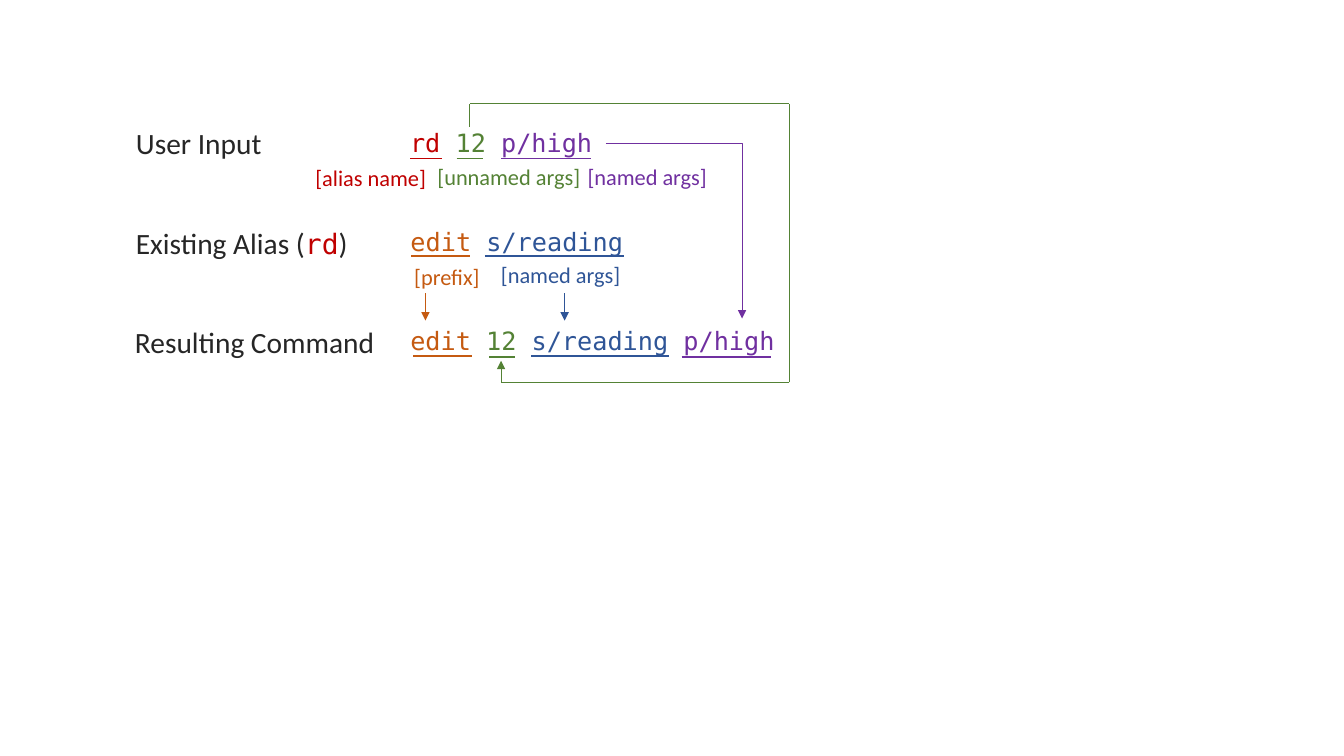
"""Builds a slide showing how a command alias expands into a full command."""
from lxml import etree
from pptx import Presentation
from pptx.dml.color import RGBColor
from pptx.enum.shapes import MSO_CONNECTOR
from pptx.enum.text import MSO_AUTO_SIZE, PP_ALIGN
from pptx.oxml.ns import qn
from pptx.util import Inches, Pt

STRAIGHT, ELBOW = MSO_CONNECTOR.STRAIGHT, MSO_CONNECTOR.ELBOW
LEFT, CENTER = PP_ALIGN.LEFT, PP_ALIGN.CENTER
GROW = MSO_AUTO_SIZE.SHAPE_TO_FIT_TEXT
SANS, MONO = "Calibri", "DejaVu Sans Mono"
ALIAS, UNNAMED, NAMED = "C00000", "548235", "7030A0"
PREFIX, PRESET, INK = "C55A11", "2F5597", "262626"


def rgb(value):
    """Return the colour for a hex string."""
    return RGBColor.from_string(value)


def add_text(slide, box, pieces, size, font=SANS, align=LEFT):
    """Add one line of text made of (text, colour, optional format) pieces."""
    label = slide.shapes.add_textbox(*map(Inches, box))
    frame = label.text_frame
    frame.word_wrap = True
    frame.auto_size = GROW
    line = frame.paragraphs[0]
    line.alignment = align
    for text, color, *override in pieces:
        run = line.add_run()
        run.text = text
        run.font.color.rgb = rgb(color)
        style = {"size": Pt(size), "name": font}
        for changes in override:
            style.update(changes)
        for attribute, value in style.items():
            setattr(run.font, attribute, value)


def add_line(slide, start, end, color, width=0.5, arrow=False, kind=STRAIGHT):
    """Add a connector, with an arrowhead at its end if asked."""
    connector = slide.shapes.add_connector(kind, *map(Inches, (*start, *end)))
    connector.line.color.rgb = rgb(color)
    connector.line.width = Pt(width)
    if arrow:
        outline = connector.line._get_or_add_ln()
        etree.SubElement(outline, qn("a:tailEnd")).set("type", "triangle")
    properties = connector._element.spPr
    etree.SubElement(properties, qn("a:effectLst"))
    if kind == ELBOW:
        properties.find(qn("a:prstGeom")).set("prst", "bentConnector2")


def add_route(slide, points, color):
    """Join points with straight lines, the last one an arrow."""
    legs = list(zip(points, points[1:]))
    for number, (start, end) in enumerate(legs, 1):
        add_line(slide, start, end, color, arrow=number == len(legs))


def add_command(slide, box, pieces, underlines):
    """Add a centred command and the underlines of its parts."""
    add_text(slide, box, pieces, 18, MONO, CENTER)
    for left, right, y, color in underlines:
        add_line(slide, (left, y), (right, y), color, 1)


def main():
    """Build and save the slide."""
    deck = Presentation()
    deck.slide_width, deck.slide_height = Inches(13.33), Inches(7.5)
    slide = deck.slides.add_slide(deck.slide_layouts[6])

    row_titles = [
        (1.25, 1.78, [("User Input", INK)]),
        (1.25, 2.5, [("Existing Alias (", INK),
                     ("rd", ALIAS, {"size": Pt(20), "name": MONO}),
                     (")", INK)]),
        (1.24, 2.92, [("Resulting Command", INK)]),
    ]
    for row, (left, width, pieces) in enumerate(row_titles):
        add_text(slide, (left, 1.19 + 0.99 * row, width, 0.45), pieces, 21)

    add_command(slide, (3.93, 1.21, 2.08, 0.4),
                [("rd", ALIAS), (" 12 ", UNNAMED), ("p/high", NAMED)],
                [(4.07, 4.38, 1.57, ALIAS), (4.53, 4.79, 1.57, UNNAMED),
                 (4.97, 5.86, 1.57, NAMED)])
    add_command(slide, (3.93, 2.2, 2.39, 0.4),
                [("edit ", PREFIX), ("s/reading", PRESET)],
                [(4.08, 4.66, 2.54, PREFIX), (4.81, 6.19, 2.54, PRESET)])
    add_command(slide, (3.9, 3.18, 3.95, 0.4),
                [("edit", PREFIX), (" 12 ", UNNAMED), ("s/reading", PRESET),
                 (" p/high", NAMED)],
                [(4.1, 4.68, 3.53, PREFIX), (4.85, 5.11, 3.54, UNNAMED),
                 (5.27, 6.64, 3.53, PRESET), (6.76, 7.65, 3.54, NAMED)])

    part_names = [
        ("[alias name]", 3.03, 1.58, 1.33, ALIAS),
        ("[unnamed args]", 4.24, 1.57, 1.85, UNNAMED),
        ("[named args]", 5.73, 1.57, 1.44, NAMED),
        ("[prefix]", 4.01, 2.56, 0.89, PREFIX),
        ("[named args]", 4.87, 2.54, 1.45, PRESET),
    ]
    for name, left, top, width, color in part_names:
        add_text(slide, (left, top, width, 0.37), [(name, color)], 16)

    for x, color in ((4.22, PREFIX), (5.6, PRESET)):
        add_line(slide, (x, 2.91), (x, 3.18), color, arrow=True)
    add_line(slide, (6.01, 1.42), (7.36, 3.16), NAMED, arrow=True, kind=ELBOW)
    add_route(slide, [(4.66, 1.26), (4.66, 1.03), (7.83, 1.03), (7.83, 3.79),
                      (4.97, 3.79), (4.97, 3.58)], UNNAMED)
    deck.save("out.pptx")


if __name__ == "__main__":
    main()
